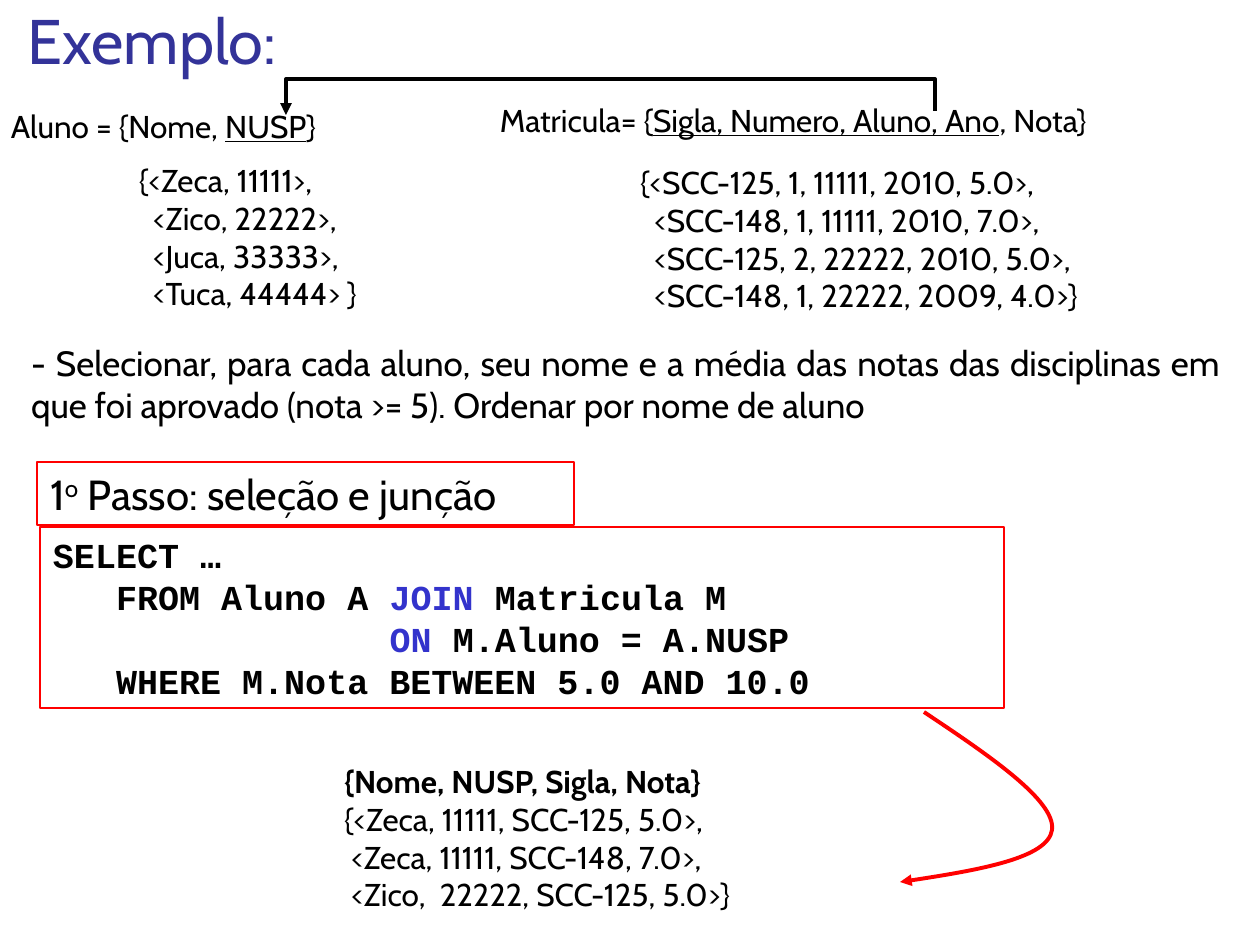
from lxml.etree import SubElement
from pptx import Presentation
from pptx.dml.color import RGBColor
from pptx.enum.shapes import MSO_SHAPE
from pptx.enum.text import MSO_ANCHOR, MSO_AUTO_SIZE, PP_ALIGN
from pptx.oxml.ns import qn
from pptx.util import Inches, Pt

SCALE = Inches(1) / 126  # EMU per px
COLORS = {"ink": "000000", "title": "333399", "keyword": "3333CC", "accent": "FF0000"}
TEXT_FONT, CODE_FONT = "Cabin", "Courier New"


def px(value):
    return round(value * SCALE)


def color(name):
    return RGBColor.from_string(COLORS[name])


def add_span(para, text, size, font=TEXT_FONT, tint="ink", bold=False,
             underline=False, superscript=False):
    span = para.add_run()
    span.text = text
    span.font.name, span.font.size = font, Pt(size)
    span.font.bold = bold
    span.font.color.rgb = color(tint)
    if underline:
        span.font.underline = True
    if superscript:
        span._r.get_or_add_rPr().set("baseline", "30000")


def write_lines(box, lines, size, inset=(0, 0), indents=(), align=PP_ALIGN.LEFT,
                anchor=MSO_ANCHOR.TOP, **style):
    """Each line is a list of (text, span options); indents are px per line."""
    frame = box.text_frame
    frame.word_wrap = True
    frame.auto_size = MSO_AUTO_SIZE.NONE
    frame.vertical_anchor = anchor
    frame.margin_left = frame.margin_right = px(inset[0])
    frame.margin_top = frame.margin_bottom = px(inset[1])
    for index, spans in enumerate(lines):
        para = frame.paragraphs[0] if index == 0 else frame.add_paragraph()
        para.alignment = align
        para.space_before = Pt(0)
        properties = para._p.get_or_add_pPr()
        properties.set("marL", str(px(indents[index] if indents else 0)))
        properties.set("indent", "0")
        SubElement(properties, qn("a:buNone"))
        for text, options in spans:
            add_span(para, text, size, **{**style, **options})


def fill_placeholder(box, bounds, lines, size, **style):
    box.left, box.top, box.width, box.height = map(px, bounds)
    write_lines(box, lines, size, **style)


def add_text(page, bounds, lines, size=18, **style):
    box = page.shapes.add_textbox(*map(px, bounds))
    write_lines(box, lines, size, **style)


def add_panel(page, bounds, lines, size, **style):
    box = page.shapes.add_shape(MSO_SHAPE.RECTANGLE, *map(px, bounds))
    box.shadow.inherit = False
    box.fill.background()
    box.line.color.rgb = color("accent")
    box.line.width = Pt(1.5)
    write_lines(box, lines, size, inset=(13, 6), **style)


def add_arrow(page, points, tint, curved=False):
    """Open outline with an arrowhead; a curve takes points as Bezier triples."""
    builder = page.shapes.build_freeform(*points[0], scale=SCALE)
    builder.add_line_segments(points[1:], close=False)
    arrow = builder.convert_to_shape()
    arrow.shadow.inherit = False
    arrow.fill.background()
    arrow.line.color.rgb = color(tint)
    arrow.line.width = Pt(2.25)
    SubElement(arrow.line._get_or_add_ln(), qn("a:tailEnd"), type="triangle")
    if curved:
        outline = next(arrow._element.iter(qn("a:path")))
        segments = outline.findall(qn("a:lnTo"))
        for start in range(0, len(segments), 3):
            bezier = SubElement(outline, qn("a:cubicBezTo"))
            for segment in segments[start:start + 3]:
                bezier.append(segment[0])
                outline.remove(segment)


def plain(*texts):
    return [[(text, {})] for text in texts]


def main():
    deck = Presentation()
    deck.slide_width, deck.slide_height = Inches(10), Inches(7.5)
    page = deck.slides.add_slide(deck.slide_layouts[1])
    title, question = page.placeholders

    # Title and question
    fill_placeholder(title, (28, 1, 328, 76), plain("Exemplo:"), 36,
                     tint="title", anchor=MSO_ANCHOR.BOTTOM)
    fill_placeholder(question, (18, 335, 1216, 97), plain(
        "- Selecionar, para cada aluno, seu nome e a média das notas das disciplinas "
        "em que foi aprovado (nota >= 5). Ordenar por nome de aluno"),
        20, inset=(13, 6), align=PP_ALIGN.JUSTIFY)

    # Relation schemas, keys underlined
    key = {"underline": True}
    add_text(page, (11, 107, 593, 38),
             [[("Aluno = {Nome, ", {}), ("NUSP", key), ("}", {})]])
    add_text(page, (500, 101, 741, 38),
             [[("Matricula= {", {}), ("Sigla, Numero, Aluno, Ano", key), (", Nota}", {})]])

    # Relation rows
    row_indents = (0, 14, 14, 14)
    add_text(page, (139, 161, 490, 151), plain(
        "{<Zeca, 11111>,", "<Zico, 22222>,", "<Juca, 33333>,", "<Tuca, 44444> }"),
        indents=row_indents)
    add_text(page, (640, 163, 571, 151), plain(
        "{<SCC-125, 1, 11111, 2010, 5.0>,", "<SCC-148, 1, 11111, 2010, 7.0>,",
        "<SCC-125, 2, 22222, 2010, 5.0>,", "<SCC-148, 1, 22222, 2009, 4.0>}"),
        indents=row_indents)

    # Foreign key from Matricula to Aluno
    add_arrow(page, [(935, 111), (935, 79), (286, 79), (286, 115)], "ink")

    # Step heading and query
    add_panel(page, (37, 462, 537, 63), [
        [("1", {}), ("o", {"superscript": True}), (" Passo: seleção e junção", {})]],
        24, anchor=MSO_ANCHOR.MIDDLE)
    keyword = {"tint": "keyword"}
    add_panel(page, (40, 527, 964, 181), [
        [("SELECT …", {})],
        [("   FROM Aluno A ", {}), ("JOIN", keyword), (" Matricula M", {})],
        [("                ", {}), ("ON", keyword), (" M.Aluno = A.NUSP", {})],
        [("   WHERE M.Nota BETWEEN 5.0 AND 10.0", {})]],
        20, font=CODE_FONT, bold=True)

    # Query result
    add_text(page, (344, 762, 601, 151), [
        [("{Nome, NUSP, Sigla, Nota}", {"bold": True})],
        *plain("{<Zeca, 11111, SCC-125, 5.0>,", "<Zeca, 11111, SCC-148, 7.0>,",
               "<Zico,  22222, SCC-125, 5.0>}")],
        indents=(0, 0, 7, 7))
    add_arrow(page, [(924, 712), (990, 756), (1056, 801), (1052, 830),
                     (1048, 858), (974, 871), (900, 882)], "accent", curved=True)

    deck.save("out.pptx")


if __name__ == "__main__":
    main()
